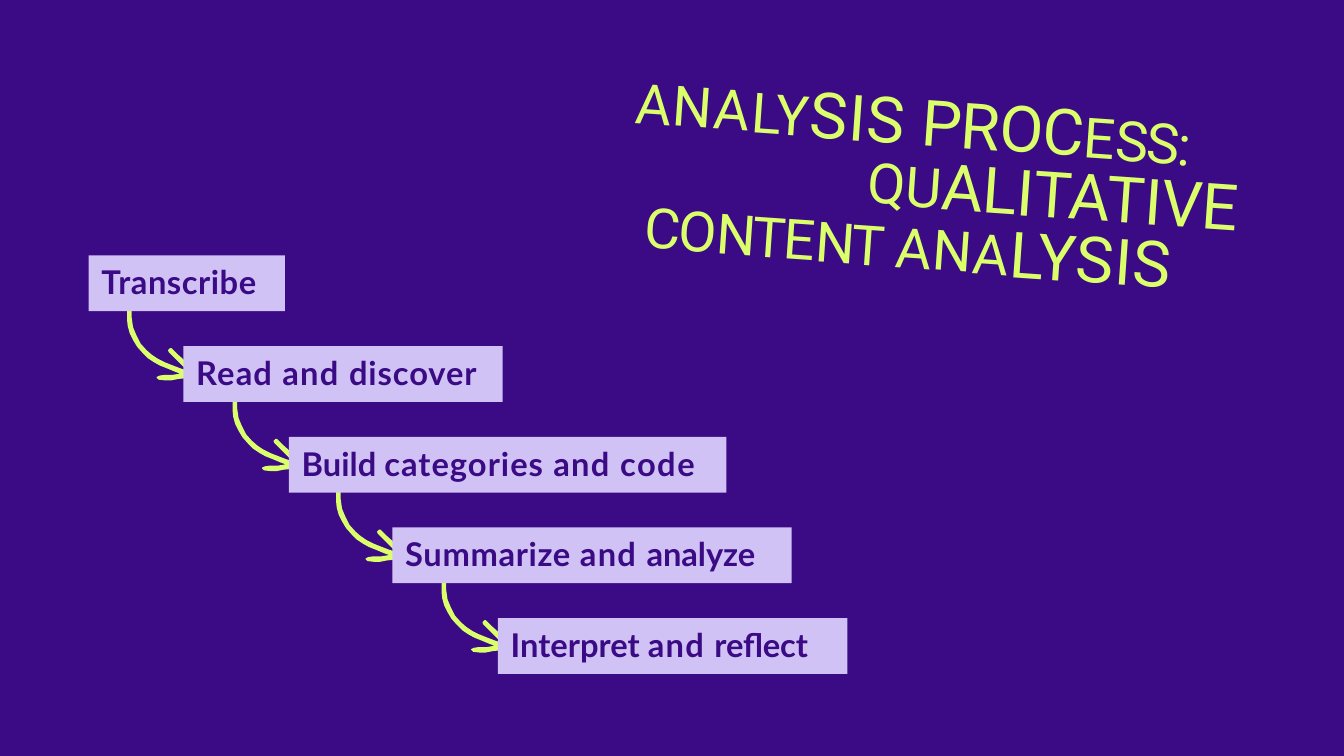
import pptx
import pptx.dml.color
import pptx.enum.text
import pptx.util
from pptx.util import Inches

COLORS = {"purple": "3B0A85", "lilac": "D0C2F5", "lime": "DAFF6B"}

# Each step: left, width, runs of (text, letter spacing in points)
STEPS = [
    (1.32, 2.92, [("Transcribe", 0.6)]),
    (2.73, 4.75, [("Read ", 1.2), ("and ", 1.4), ("discover", 1)]),
    (4.3, 6.51, [("Build ", 0), ("categories ", 1.1), ("and ", 1.4), ("code", 1.6)]),
    (5.84, 5.94, [("Summarize ", 0.7), ("and ", 1.4), ("analyze", -0.1)]),
    (7.41, 5.2, [("Interpret ", 0), ("and ", 1.4), ("reflect", -0.1)]),
]
STEP_TOP, STEP_PITCH, STEP_HEIGHT = 3.8, 1.35, 0.83

# Each headline line: box, line spacing, runs of
# (text, size, letter spacing, baseline shift in percent)
HEADLINE = [
    ((9.44, 1.57, 9.9, 0.95), 66.6, [
        ("ANA", 102.8, 1.1, 2), ("LY", 102.8, 1.1, 1), ("SIS ", 68.5, 0.8, 0),
        ("PROC", 68.5, -1.1, 0), ("E", 102.8, -1.7, -1), ("SS:", 102.8, -1.7, -2)]),
    ((12.89, 2.62, 6.39, 0.95), 67.2, [
        ("Q", 102.8, -0.1, 2), ("U", 102.8, -0.1, 1), ("ALITATIVE", 68.5, -0.1, 0)]),
    ((9.57, 3.41, 9.62, 0.96), 68.8, [
        ("CO", 102.8, -2.5, 4), ("NTE", 102.8, -2.5, 3), ("NT ", 102.8, -2.5, 2),
        ("AN", 102.8, 1, 2), ("A", 102.8, 1, 1), ("LYSIS", 68.5, 0.7, 0)]),
]

# Hand-drawn arrow outline, in hundredths of an inch
ARROW = [
    (56, 115), (47, 114), (44, 111), (44, 110), (48, 108), (55, 107), (67, 107),
    (79, 105), (71, 102), (59, 97), (49, 93), (40, 88), (31, 82), (23, 74),
    (15, 65), (9, 55), (4, 45), (1, 34), (0, 24), (0, 14), (1, 3), (4, 0), (6, 0),
    (8, 2), (8, 4), (7, 11), (7, 22), (9, 36), (14, 48), (20, 60), (29, 70),
    (37, 77), (46, 83), (56, 88), (66, 92), (79, 97), (88, 100), (90, 101),
    (86, 97), (70, 81), (62, 73), (61, 70), (64, 67), (66, 67), (74, 75),
    (83, 83), (91, 92), (100, 100), (102, 103), (102, 106), (96, 109), (86, 112),
    (76, 113), (66, 115),
]
ARROW_OFFSET = (-0.84, -0.64)  # from the corner of the step it points to


def rgb(name):
    return pptx.dml.color.RGBColor.from_string(COLORS[name])


def place(shape, left, top, width, height):
    shape.left, shape.top = Inches(left), Inches(top)
    shape.width, shape.height = Inches(width), Inches(height)


def format_text(shape, font_name, color, inset_top=0):
    """Set the frame and font, and return the first paragraph."""
    frame = shape.text_frame
    frame.word_wrap = True
    frame.auto_size = pptx.enum.text.MSO_AUTO_SIZE.NONE
    frame.vertical_anchor = pptx.enum.text.MSO_ANCHOR.TOP
    frame.margin_left = frame.margin_right = frame.margin_bottom = 0
    frame.margin_top = Inches(inset_top)
    para = frame.paragraphs[0]
    para.alignment = pptx.enum.text.PP_ALIGN.LEFT
    para.font.name = font_name
    para.font.color.rgb = rgb(color)
    return para


def add_span(para, text, spacing):
    span = para.add_run()
    span.text = text
    span.font._element.set("spc", str(round(spacing * 100)))
    return span


def add_arrow(page, left, top):
    builder = page.shapes.build_freeform(*ARROW[0], scale=Inches(0.01))
    builder.add_line_segments(ARROW[1:], close=True)
    arrow = builder.convert_to_shape(Inches(left), Inches(top))
    arrow.shadow.inherit = False
    arrow.fill.solid()
    arrow.fill.fore_color.rgb = rgb("lime")
    arrow.line.fill.background()


def fill_step(shape, box, spans):
    place(shape, *box)
    shape.fill.solid()
    shape.fill.fore_color.rgb = rgb("lilac")
    para = format_text(shape, "Lato", "purple", inset_top=0.1)
    para.font.size = pptx.util.Pt(35)
    para.font.bold = True
    para.space_before = pptx.util.Pt(7)
    properties = para._p.get_or_add_pPr()
    properties.set("marL", str(Inches(0.19)))
    properties.set("indent", "0")
    for text, spacing in spans:
        add_span(para, text, spacing)


def add_staircase(page):
    """Draw the arrows first, so that the steps cover their ends."""
    boxes = [(left, STEP_TOP + i * STEP_PITCH, width, STEP_HEIGHT)
             for i, (left, width, _) in enumerate(STEPS)]
    for left, top, _, _ in boxes[1:]:
        add_arrow(page, left + ARROW_OFFSET[0], top + ARROW_OFFSET[1])
    title = page.shapes.title
    page.shapes._spTree.append(title._element)
    for i, (box, step) in enumerate(zip(boxes, STEPS)):
        shape = title if i == 0 else page.shapes.add_textbox(0, 0, 0, 0)
        fill_step(shape, box, step[2])


def add_headline_line(page, box, line_spacing, spans):
    shape = page.shapes.add_textbox(0, 0, 0, 0)
    place(shape, *box)
    shape.rotation = 4
    para = format_text(shape, "Roboto", "lime")
    para.line_spacing = pptx.util.Pt(line_spacing)
    for text, size, spacing, shift in spans:
        span = add_span(para, text, spacing)
        span.font.size = pptx.util.Pt(size)
        if shift:
            span.font._element.set("baseline", str(shift * 1000))


def main():
    deck = pptx.Presentation()
    deck.slide_width, deck.slide_height = Inches(20), Inches(11.25)
    page = deck.slides.add_slide(deck.slide_layouts[5])
    page.background.fill.solid()
    page.background.fill.fore_color.rgb = rgb("purple")
    add_staircase(page)
    for box, line_spacing, spans in HEADLINE:
        add_headline_line(page, box, line_spacing, spans)
    deck.save("out.pptx")


if __name__ == "__main__":
    main()
